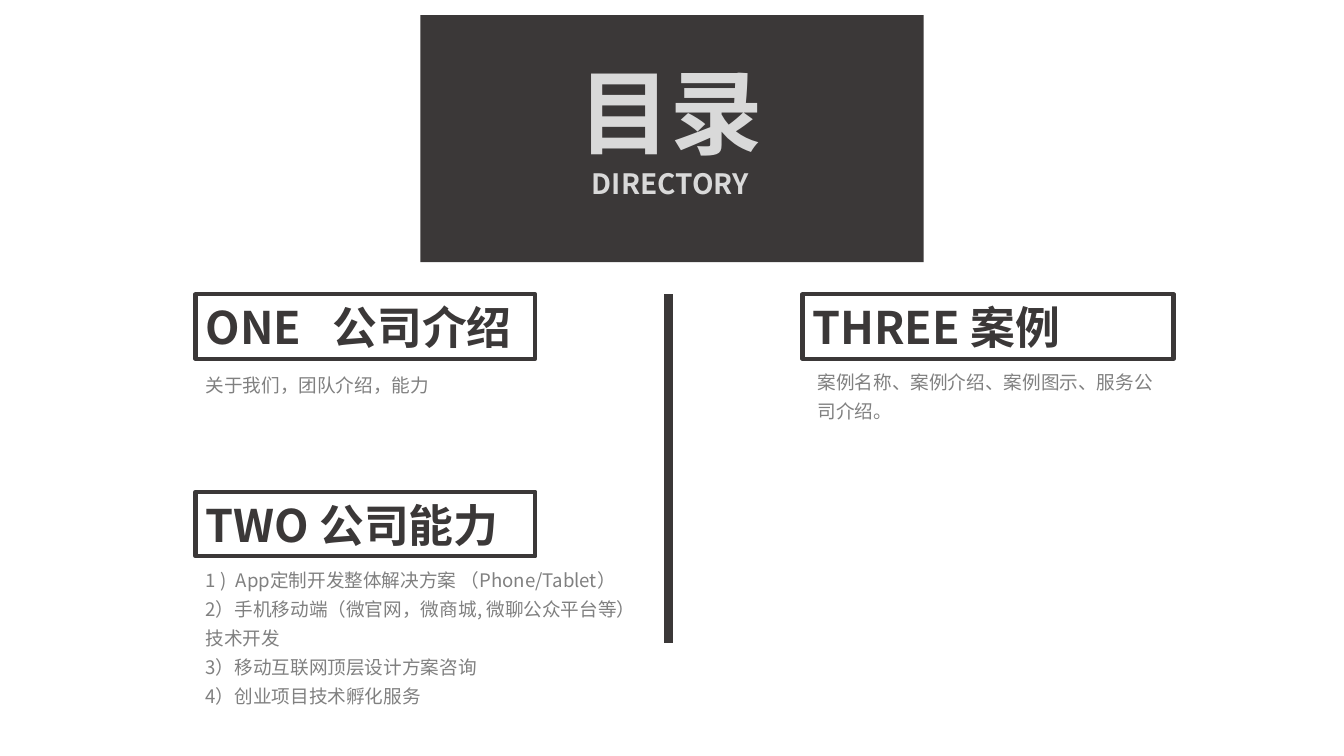
import pptx
import pptx.util
import pptx.dml.color
import pptx.enum.shapes
import pptx.enum.text
import pptx.oxml.ns
from lxml import etree

# Content: text, and tab stop in inches where a gap is needed
TITLE = [("目录", 66), ("DIRECTORY", 20)]
HEADS = [  # left, top, width, text, tab
    (1.94, 2.92, 3.37, "ONE\t公司介绍", 1.26),
    (1.94, 4.88, 3.37, "TWO 公司能力", None),
    (7.96, 2.92, 3.68, "THREE 案例", None),
]
NOTES = [  # left, top, width, height, lines
    (1.94, 3.59, 3.37, 0.39, [("关于我们，团队介绍，能力", None)]),
    (1.94, 5.53, 4.57, 1.57, [
        ("1 )\tApp定制开发整体解决方案 （Phone/Tablet）", 0.3),
        ("2）手机移动端（微官网，微商城, 微聊公众平台等）\t技术开发", 0.67),
        ("3）移动互联网顶层设计方案咨询", None),
        ("4）创业项目技术孵化服务", None),
    ]),
    (8.01, 3.56, 3.63, 0.69,
     [("案例名称、案例介绍、案例图示、服务公司介绍。", None)]),
]
COLORS = {"dark": "3B3838", "pale": "D9D9D9", "gray": "808080"}
FONT = "Noto Sans CJK SC"
HEAD_H = 0.64

Inches, Pt = pptx.util.Inches, pptx.util.Pt
ANCHOR = pptx.enum.text.MSO_ANCHOR
ALIGN = pptx.enum.text.PP_ALIGN
qn = pptx.oxml.ns.qn

deck = pptx.Presentation()
deck.slide_width, deck.slide_height = Inches(13.33), Inches(7.5)
slide = deck.slides.add_slide(deck.slide_layouts[6])
shapes = slide.shapes


def color(key):
    return pptx.dml.color.RGBColor.from_string(COLORS[key])


def add_run(para, text, size, key, bold=False):
    run = para.add_run()
    run.text = text
    font = run.font
    font.size, font.bold, font.name = Pt(size), bold, FONT
    font.color.rgb = color(key)
    east = etree.SubElement(run._r.get_or_add_rPr(), qn("a:ea"))
    east.set("typeface", FONT)


def add_tab(para, stop):
    if stop:
        tabs = etree.SubElement(para._p.get_or_add_pPr(), qn("a:tabLst"))
        tab = etree.SubElement(tabs, qn("a:tab"))
        tab.set("pos", str(Inches(stop)))
        tab.set("algn", "l")


def add_box(left, top, width, height):
    box = shapes.add_shape(pptx.enum.shapes.MSO_SHAPE.RECTANGLE,
                           *map(Inches, (left, top, width, height)))
    box.shadow.inherit = False
    return box


def add_text(left, top, width, height, anchor):
    frame = shapes.add_textbox(
        *map(Inches, (left, top, width, height))).text_frame
    frame.word_wrap = True
    frame.vertical_anchor = anchor
    return frame


# Title panel
panel = add_box(4.17, 0.15, 4.99, 2.45)
panel.fill.solid()
panel.fill.fore_color.rgb = color("dark")
panel.line.fill.background()
para = add_text(4.87, -0.03, 3.56, 2.59, ANCHOR.MIDDLE).paragraphs[0]
para.alignment = ALIGN.CENTER
for i, (text, size) in enumerate(TITLE):
    if i:
        para.add_line_break()
    add_run(para, text, size, "pale", True)

# Framed headings
for left, top, width, text, stop in HEADS:
    box = add_box(left, top, width, HEAD_H)
    box.fill.background()
    box.line.color.rgb = color("dark")
    box.line.width = Pt(3)
    etree.SubElement(box.line._get_or_add_ln(), qn("a:round"))
    frame = box.text_frame
    frame.word_wrap = True
    frame.vertical_anchor = ANCHOR.MIDDLE
    para = frame.paragraphs[0]
    para.alignment = ALIGN.LEFT
    add_tab(para, stop)
    add_run(para, text, 32, "dark", True)

# Notes under the headings
for left, top, width, height, lines in NOTES:
    frame = add_text(left, top, width, height, ANCHOR.TOP)
    for i, (text, stop) in enumerate(lines):
        para = frame.add_paragraph() if i else frame.paragraphs[0]
        para.line_spacing = 1.3
        add_tab(para, stop)
        add_run(para, text, 13.3, "gray")

# Centre divider
rule = shapes.add_connector(pptx.enum.shapes.MSO_CONNECTOR.STRAIGHT,
                            *map(Inches, (6.63, 2.92, 6.63, 6.38)))
rule.line.color.rgb = color("dark")
rule.line.width = Pt(6)
etree.SubElement(rule._element.spPr, qn("a:effectLst"))

deck.save("out.pptx")
